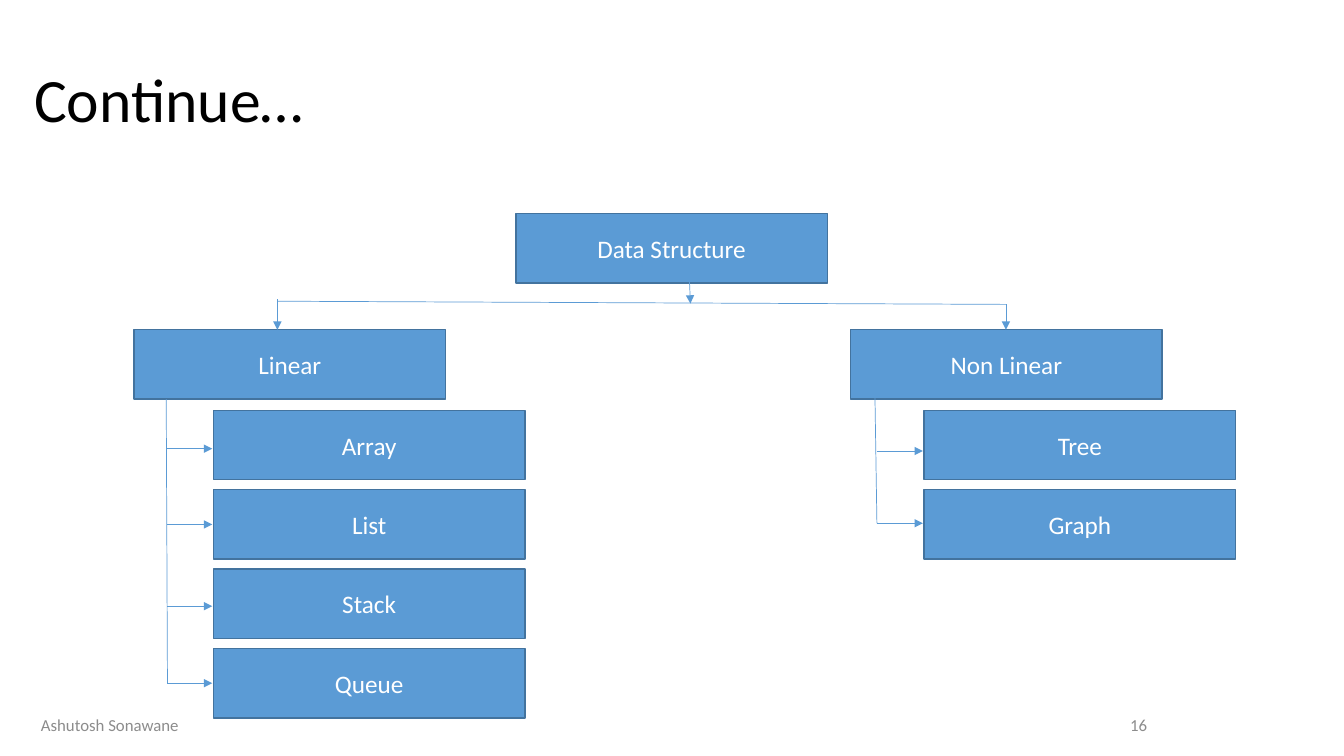
from pptx import Presentation
from pptx.dml.color import RGBColor
from pptx.enum.shapes import MSO_CONNECTOR as CONN, MSO_SHAPE as SHAPE
from pptx.enum.text import MSO_ANCHOR as ANCHOR, PP_ALIGN as ALIGN
from pptx.oxml.ns import qn
from pptx.util import Cm, Pt
from lxml.etree import SubElement

BLUE, EDGE, WHITE, BLACK, GREY = "5B9BD5", "43739E", "FFFFFF", "000000", "8C8C8C"
BOX_W, BOX_H = 7.85, 1.75
ROW_STEP = 2.0


def color(value):
    return RGBColor.from_string(value)


def write(sp, text, size, ink, align, spacing=1.0):
    tf = sp.text_frame
    p = tf.paragraphs[0]
    r = p.add_run()
    r.text = text
    r.font.color.rgb = color(ink)
    formats = (
        (tf, {"word_wrap": True, "vertical_anchor": ANCHOR.MIDDLE}),
        (p, {"alignment": align, "line_spacing": spacing}),
        (r.font, {"name": "Calibri", "size": Pt(size)}),
    )
    for target, values in formats:
        for name, value in values.items():
            setattr(target, name, value)


def add_label(s, box, text, size, ink, align, spacing=1.0):
    sp = s.shapes.add_textbox(*map(Cm, box))
    write(sp, text, size, ink, align, spacing)


def add_node(s, x, y, text):
    sp = s.shapes.add_shape(SHAPE.RECTANGLE, Cm(x), Cm(y), Cm(BOX_W), Cm(BOX_H))
    sp.shadow.inherit = False
    sp.fill.solid()
    sp.fill.fore_color.rgb = color(BLUE)
    sp.line.color.rgb = color(EDGE)
    sp.line.width = Pt(1)
    write(sp, text, 18, WHITE, ALIGN.CENTER)


def add_line(s, x1, y1, x2, y2, arrow=True):
    line = s.shapes.add_connector(CONN.STRAIGHT, Cm(x1), Cm(y1), Cm(x2), Cm(y2))
    line.line.color.rgb = color(BLUE)
    line.line.width = Pt(0.5)
    if arrow:
        SubElement(line.line._get_or_add_ln(), qn("a:tailEnd"), type="triangle")
    SubElement(line._element.spPr, qn("a:effectLst"))


def add_branch(s, x, y, heading, children, indent, trunk, lean, trunk_top):
    """Heading box with indented children; each child has its arrow's offset from centre."""
    add_node(s, x, y, heading)
    foot = x + trunk + lean
    for i, (name, shift) in enumerate(children):
        top = y + 2.03 + i * ROW_STEP
        add_node(s, x + indent, top, name)
        arrow_y = top + BOX_H / 2 + shift
        add_line(s, foot, arrow_y, x + indent - 0.03, arrow_y)
    # Trunk ends at the last arrow
    add_line(s, x + trunk, y + trunk_top, foot, arrow_y, arrow=False)


def add_tree(s, x, y):
    """Tree placed from the left edge of Linear and the top of the root."""
    root_x, right_x, branch_y = x + 9.62, x + 18.06, y + 2.93
    add_node(s, root_x, y, "Data Structure")
    add_branch(s, x, branch_y, "Linear",
               [("Array", 0.09), ("List", 0), ("Stack", 0.06), ("Queue", 0)],
               indent=2.0, trunk=0.81, lean=0.03, trunk_top=BOX_H)
    add_branch(s, right_x, branch_y, "Non Linear",
               [("Tree", 0.15), ("Graph", -0.03)],
               indent=1.85, trunk=0.61, lean=0.05, trunk_top=1.62)
    # Links from the root to the two branches
    left_drop, right_drop = x + 3.61, right_x + 3.91
    add_line(s, root_x + 4.37, y + 1.58, root_x + 4.4, y + 2.27)
    add_line(s, left_drop, y + 2.21, right_drop, y + 2.29, arrow=False)
    add_line(s, left_drop, y + 2.16, left_drop, branch_y)
    add_line(s, right_drop, y + 2.29, right_drop, branch_y)


def add_footer(s, x, y):
    add_label(s, (x, y, 4.32, 1.02), "Ashutosh Sonawane", 12, GREY, ALIGN.CENTER)
    add_label(s, (x + 20.93, y, 7.62, 1.02), "16", 12, GREY, ALIGN.RIGHT)


def main():
    prs = Presentation()
    prs.slide_width, prs.slide_height = Cm(33.87), Cm(19.05)
    s = prs.slides.add_slide(prs.slide_layouts[6])
    add_label(s, (0.61, 0.48, 32.74, 4.22), "Continue…", 44, BLACK, ALIGN.LEFT, 0.9)
    add_tree(s, 3.38, 5.38)
    add_footer(s, 0.61, 17.75)
    prs.save("out.pptx")


if __name__ == "__main__":
    main()
